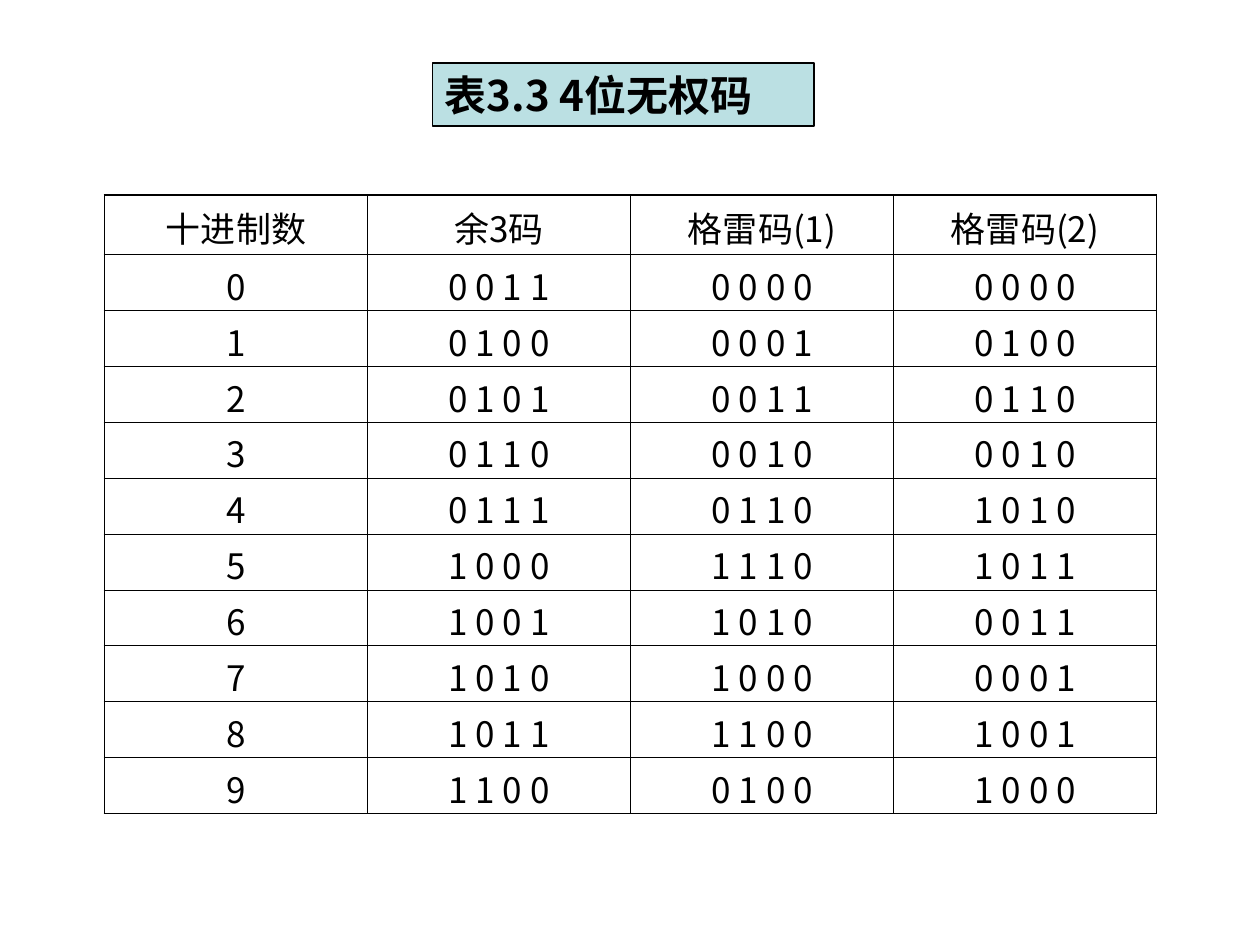
from lxml.etree import SubElement
from pptx import Presentation
from pptx.dml.color import RGBColor
from pptx.enum.text import MSO_ANCHOR as Anchor, MSO_AUTO_SIZE as AutoSize, PP_ALIGN as Align
from pptx.oxml.ns import qn
from pptx.util import Inches, Pt

# Content
TITLE = "表3.3 4位无权码"
HEADER = ("十进制数", "余3码", "格雷码(1)", "格雷码(2)")
CODES = [
    ("0011", "0000", "0000"),
    ("0100", "0001", "0100"),
    ("0101", "0011", "0110"),
    ("0110", "0010", "0010"),
    ("0111", "0110", "1010"),
    ("1000", "1110", "1011"),
    ("1001", "1010", "0011"),
    ("1010", "1000", "0001"),
    ("1011", "1100", "1001"),
    ("1100", "0100", "1000"),
]
ROWS = [HEADER] + [
    (str(number), *(" ".join(code) for code in codes))
    for number, codes in enumerate(CODES)
]

# Look and layout
FONT = "Noto Sans CJK SC"
BLACK, PALE_TEAL = "000000", "BBE0E3"
INNER_LINE, OUTER_LINE = 0.45, 1.08
LEFT, TOP, WIDTH, HEIGHT = 0.83, 1.55, 8.35, 4.91
HEADER_HEIGHT = 0.47


def color(value):
    return RGBColor.from_string(value)


def write(frame, text, size=20, bold=False, align=Align.CENTER, fill=BLACK):
    para = frame.paragraphs[0]
    para.alignment = align
    para.line_spacing = 1.0
    para.space_before = Pt(0)
    span = para.add_run()
    span.text = text
    span.font.size = Pt(size)
    span.font.bold = bold
    span.font.name = FONT
    span.font.color.rgb = color(fill)
    SubElement(span.font._element, qn("a:ea"), typeface=FONT)


def draw_border(cell, side, width):
    properties = cell._tc.get_or_add_tcPr()
    line = SubElement(properties, qn(f"a:ln{side}"), w=str(Pt(width)))
    fill = SubElement(line, qn("a:solidFill"))
    SubElement(fill, qn("a:srgbClr"), val=BLACK)


def add_title(slide):
    box = slide.shapes.title
    box.left, box.top, box.width, box.height = map(Inches, (3.43, 0.5, 3.03, 0.5))
    box.fill.solid()
    box.fill.fore_color.rgb = color(PALE_TEAL)
    box.line.color.rgb = color(BLACK)
    box.line.width = Pt(0.75)
    frame = box.text_frame
    frame.word_wrap = True
    frame.auto_size = AutoSize.NONE
    frame.vertical_anchor = Anchor.MIDDLE
    write(frame, TITLE, size=24, bold=True, align=Align.LEFT)


def add_code_table(slide):
    row_count, column_count = len(ROWS), len(HEADER)
    table = slide.shapes.add_table(
        row_count, column_count, *map(Inches, (LEFT, TOP, WIDTH, HEIGHT))
    ).table
    table.first_row = table.horz_banding = False
    for column in table.columns:
        column.width = Inches(WIDTH / column_count)
    for row in table.rows:
        row.height = Inches((HEIGHT - HEADER_HEIGHT) / len(CODES))
    table.rows[0].height = Inches(HEADER_HEIGHT)

    for r, texts in enumerate(ROWS):
        for c, text in enumerate(texts):
            cell = table.cell(r, c)
            # Tight vertical margins keep the rows at their set height
            cell.margin_top, cell.margin_bottom = Inches(0.04), 0
            cell.vertical_anchor = Anchor.MIDDLE
            write(cell.text_frame, text)
            on_edge = {
                "L": c == 0,
                "R": c == column_count - 1,
                "T": r == 0,
                "B": r == row_count - 1,
            }
            for side, outer in on_edge.items():
                draw_border(cell, side, OUTER_LINE if outer else INNER_LINE)
            cell.fill.background()


def main():
    deck = Presentation()
    deck.slide_width, deck.slide_height = Inches(10), Inches(7.5)
    slide = deck.slides.add_slide(deck.slide_layouts[5])
    add_title(slide)
    add_code_table(slide)
    deck.save("out.pptx")


if __name__ == "__main__":
    main()
